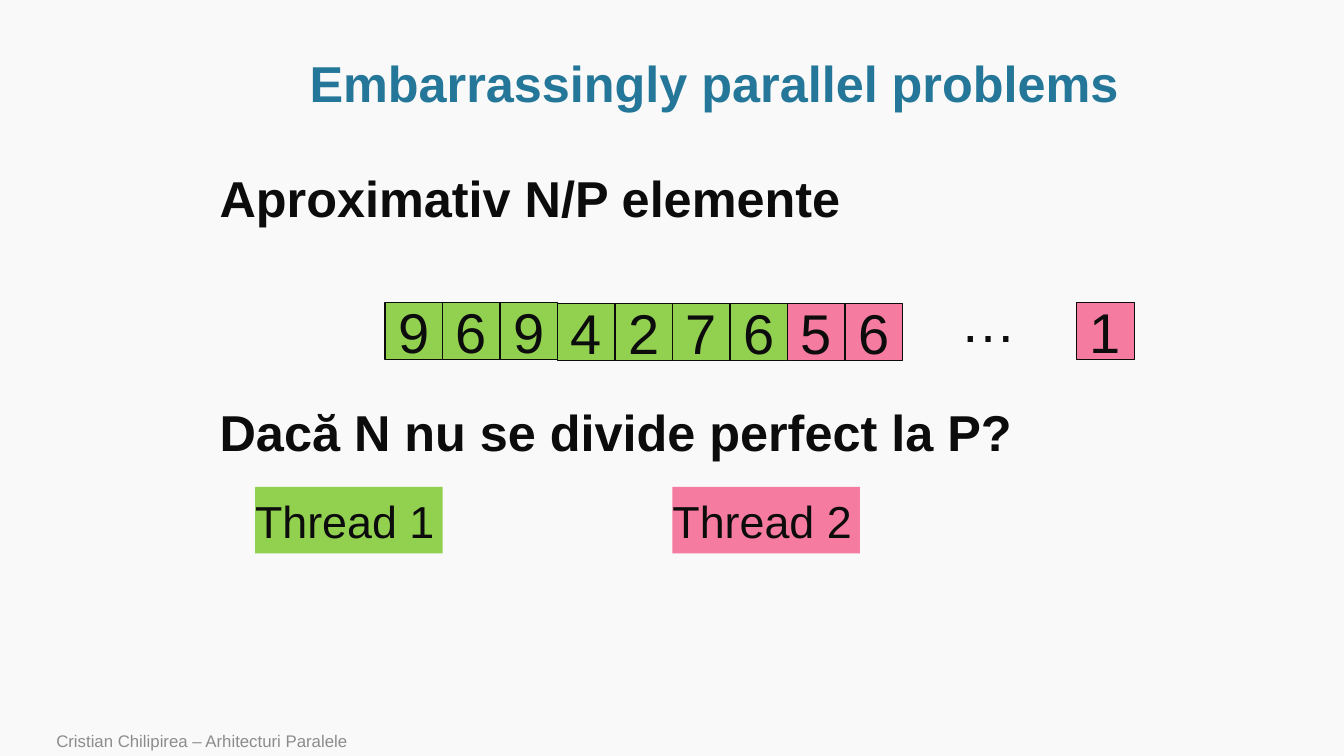
from dataclasses import dataclass

from pptx import Presentation
from pptx.dml.color import RGBColor
from pptx.enum.shapes import MSO_SHAPE
from pptx.enum.text import MSO_ANCHOR, MSO_AUTO_SIZE, PP_ALIGN
from pptx.util import Inches, Pt

RECT = MSO_SHAPE.RECTANGLE
TOP, MIDDLE, BOTTOM = MSO_ANCHOR.TOP, MSO_ANCHOR.MIDDLE, MSO_ANCHOR.BOTTOM
LEFT, CENTER = PP_ALIGN.LEFT, PP_ALIGN.CENTER
NO_FIT = MSO_AUTO_SIZE.NONE


@dataclass(frozen=True)
class Theme:
    font: str = "Arial"
    back: str = "F9F9F9"
    blue: str = "247798"
    ink: str = "0C0C0C"
    gray: str = "8C8C8C"
    green: str = "92D050"
    pink: str = "F57BA1"
    head: int = 36
    digit: int = 40
    label: int = 32
    small: int = 12


def rgb(code):
    return RGBColor.from_string(code)


class Deck:
    def __init__(self, theme):
        self.theme = theme
        self.file = Presentation()
        self.file.slide_width = Inches(13.33)
        self.file.slide_height = Inches(7.5)
        self.slide = self.file.slides.add_slide(self.file.slide_layouts[5])
        fill = self.slide.background.fill
        fill.solid()
        fill.fore_color.rgb = rgb(theme.back)

    def put(self, shape, lines, size, color, bold=False, align=LEFT,
            anchor=TOP, wrap=True, gap=0):
        """Fill a shape with paragraphs, gap points apart."""
        frame = shape.text_frame
        frame.word_wrap = wrap
        frame.auto_size = NO_FIT
        frame.vertical_anchor = anchor
        for i, line in enumerate(lines):
            para = frame.add_paragraph() if i else frame.paragraphs[0]
            para.alignment = align
            if i:
                para.space_before = Pt(gap)
            run = para.add_run()
            run.text = line
            font = run.font
            font.name, font.size, font.bold = self.theme.font, Pt(size), bold
            font.color.rgb = rgb(color)
        return frame

    def title(self, text, x, y, w, h):
        shape = self.slide.shapes.title
        shape.left, shape.top = Inches(x), Inches(y)
        shape.width, shape.height = Inches(w), Inches(h)
        frame = self.put(shape, [text], self.theme.head, self.theme.blue,
                         bold=True, align=CENTER, anchor=MIDDLE)
        frame.paragraphs[0].line_spacing = 0.9

    def text(self, lines, x, y, w, h, size, color, **style):
        box = self.slide.shapes.add_textbox(
            Inches(x), Inches(y), Inches(w), Inches(h))
        self.put(box, lines, size, color, **style)

    def block(self, x, y, w, h, fill):
        shape = self.slide.shapes.add_shape(
            RECT, Inches(x), Inches(y), Inches(w), Inches(h))
        shape.shadow.inherit = False
        shape.fill.solid()
        shape.fill.fore_color.rgb = rgb(fill)
        return shape

    def cell(self, digit, x, y, side, fill):
        shape = self.block(x, y, side, side, fill)
        shape.line.color.rgb = rgb(self.theme.ink)
        shape.line.width = Pt(1)
        self.put(shape, [digit], self.theme.digit, self.theme.ink,
                 align=CENTER, anchor=MIDDLE)

    def label(self, text, x, y, fill):
        shape = self.block(x, y, 1.86, 0.66, fill)
        shape.line.fill.background()
        frame = self.put(shape, [text], self.theme.label, self.theme.ink,
                         anchor=MIDDLE)
        frame.margin_left = frame.margin_right = 0


def main():
    theme = Theme()
    deck = Deck(theme)
    deck.title("Embarrassingly parallel problems", 1.14, 0.51, 11.89, 0.69)

    side, start, share = 0.57, 3.82, 7
    for i, digit in enumerate("969427656"):
        fill = theme.green if i < share else theme.pink
        top = 3 if i < 3 else 3.01
        deck.cell(digit, start + i * side, top, side, fill)
    deck.cell("1", 10.68, 3, side, theme.pink)

    deck.text(["Aproximativ N/P elemente", "Dacă N nu se divide perfect la P?"],
              2.08, 1.61, 9.43, 3.13, theme.head, theme.ink, bold=True,
              gap=124)
    deck.text(["…"], 9.43, 2.79, 0.76, 0.77, theme.digit, theme.ink,
              wrap=False)
    deck.label("Thread 1", 2.53, 4.83, theme.green)
    deck.label("Thread 2", 6.67, 4.83, theme.pink)
    deck.text(["Cristian Chilipirea – Arhitecturi Paralele"],
              0.46, 7.22, 9.82, 0.28, theme.small, theme.gray, anchor=BOTTOM)
    deck.file.save("out.pptx")


if __name__ == "__main__":
    main()
